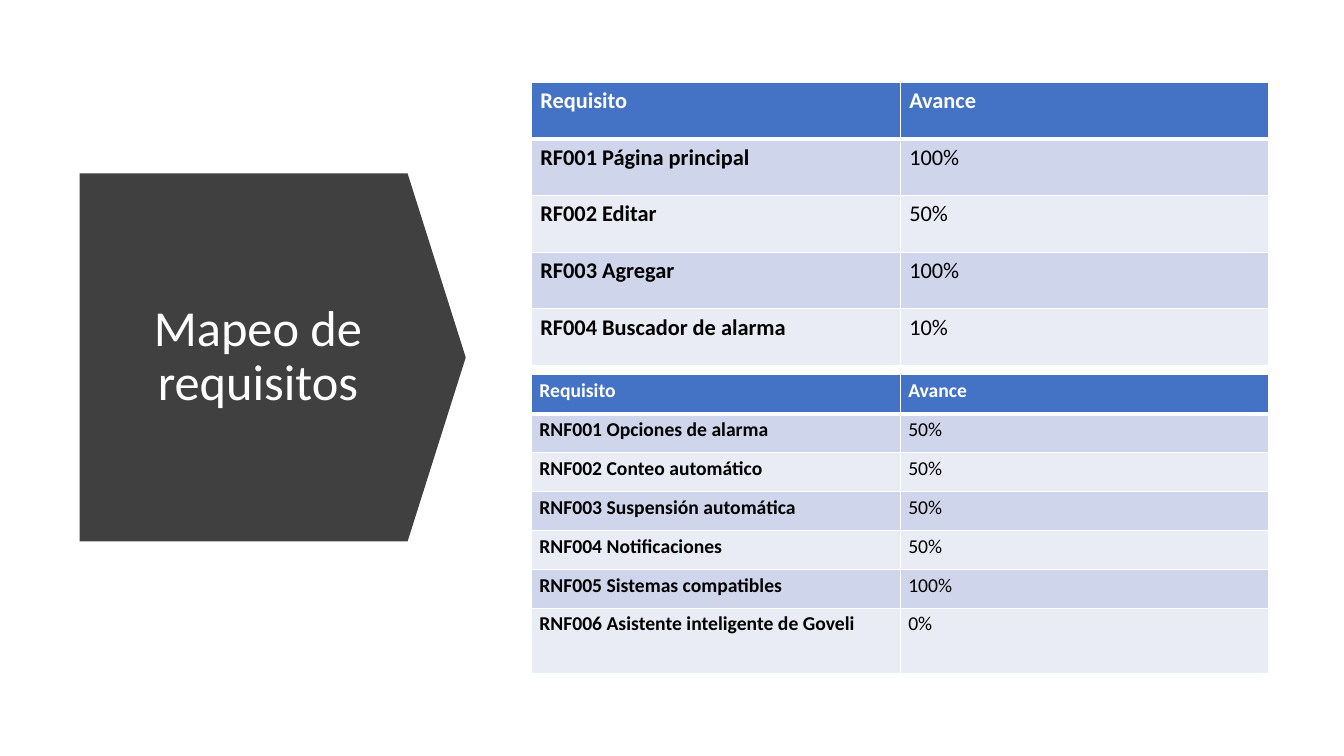
from pptx import Presentation
from pptx.dml.color import RGBColor as RGB
from pptx.enum.shapes import MSO_SHAPE as SHAPE
from pptx.enum.text import MSO_ANCHOR as ANCHOR, PP_ALIGN as ALIGN
from pptx.oxml import parse_xml
from pptx.oxml.ns import nsdecls
from pptx.util import Pt

DARK, BLUE, WHITE, BLACK = "404040", "4472C4", "FFFFFF", "000000"
BANDS = "CFD5EA", "E9EBF5"

HEAD = "Requisito", "Avance"
MAIN = [
    HEAD,
    ("RF001 Página principal", "100%"),
    ("RF002 Editar", "50%"),
    ("RF003 Agregar", "100%"),
    ("RF004 Buscador de alarma", "10%"),
]
EXTRA = [
    HEAD,
    ("RNF001 Opciones de alarma", "50%"),
    ("RNF002 Conteo automático", "50%"),
    ("RNF003 Suspensión automática", "50%"),
    ("RNF004 Notificaciones", "50%"),
    ("RNF005 Sistemas compatibles", "100%"),
    ("RNF006 Asistente inteligente de Goveli", "0%"),
]


def paint(fill, color):
    fill.solid()
    fill.fore_color.rgb = RGB.from_string(color)


def edge(cell, side, width):
    """Add a white border to one side (L, R, T or B) of a cell."""
    cell._tc.get_or_add_tcPr().append(parse_xml(
        f'<a:ln{side} {nsdecls("a")} w="{Pt(width)}"><a:solidFill>'
        f'<a:srgbClr val="{WHITE}"/></a:solidFill></a:ln{side}>'))


class Page:
    """Holds the font and the slide being filled."""

    def __init__(self, slide, font):
        self.slide = slide
        self.font = font

    def style(self, para, size, color, bold=False):
        for run in para.runs:
            font = run.font
            font.name, font.size, font.bold = self.font, Pt(size), bold
            font.color.rgb = RGB.from_string(color)

    def title(self, text, box, size):
        shape = self.slide.shapes.title
        shape.left, shape.top, shape.width, shape.height = map(Pt, box)
        frame = shape.text_frame
        frame.text = text
        frame.word_wrap = True
        frame.vertical_anchor = ANCHOR.MIDDLE
        para = frame.paragraphs[0]
        para.alignment = ALIGN.CENTER
        para.line_spacing = 0.9
        self.style(para, size, WHITE)

    def arrow(self, box):
        """Draw the wide arrow that points right, behind the title."""
        shape = self.slide.shapes.add_shape(SHAPE.DOWN_ARROW, *map(Pt, box))
        shape.rotation = 270
        shape.adjustments[0] = 1
        shape.adjustments[1] = 0.158
        shape.shadow.inherit = False
        paint(shape.fill, DARK)
        shape.line.fill.background()
        self.slide.shapes.title.element.addprevious(shape.element)

    def table(self, rows, left, top, width, heights, size, pad):
        """Draw a banded table; pad is the side and top cell margin."""
        count = len(rows[0])
        table = self.slide.shapes.add_table(
            len(rows), count, Pt(left), Pt(top), Pt(width * count),
            Pt(sum(heights))).table
        for col in table.columns:
            col.width = Pt(width)
        for r, (texts, height) in enumerate(zip(rows, heights)):
            table.rows[r].height = Pt(height)
            for c, text in enumerate(texts):
                self.cell(table.cell(r, c), text, r, c, size, pad)

    def cell(self, cell, text, r, c, size, pad):
        cell.text = text
        cell.margin_left = cell.margin_right = Pt(pad[0])
        cell.margin_top = cell.margin_bottom = Pt(pad[1])
        for side in "LRTB":
            thick = (r, side) in ((0, "B"), (1, "T"))
            edge(cell, side, 3 if thick else 1)
        paint(cell.fill, BANDS[(r - 1) % 2] if r else BLUE)
        self.style(cell.text_frame.paragraphs[0], size,
                   BLACK if r else WHITE, r == 0 or c == 0)


def main():
    deck = Presentation()
    deck.slide_width, deck.slide_height = Pt(960), Pt(540)
    page = Page(deck.slides.add_slide(deck.slide_layouts[5]), "Calibri")
    page.arrow((63.4, 117.4, 262.8, 275.8))
    page.title("Mapeo de requisitos", (80.6, 154.8, 207.4, 200.9), 36)
    page.table(MAIN, 379.5, 59, 263.5, [40.4] * 5, 16, (6.5, 3.5))
    page.table(EXTRA, 379.5, 267.8, 263.5, [27.8] * 6 + [46.8], 14, (5.8, 2.9))
    deck.save("out.pptx")


if __name__ == "__main__":
    main()
